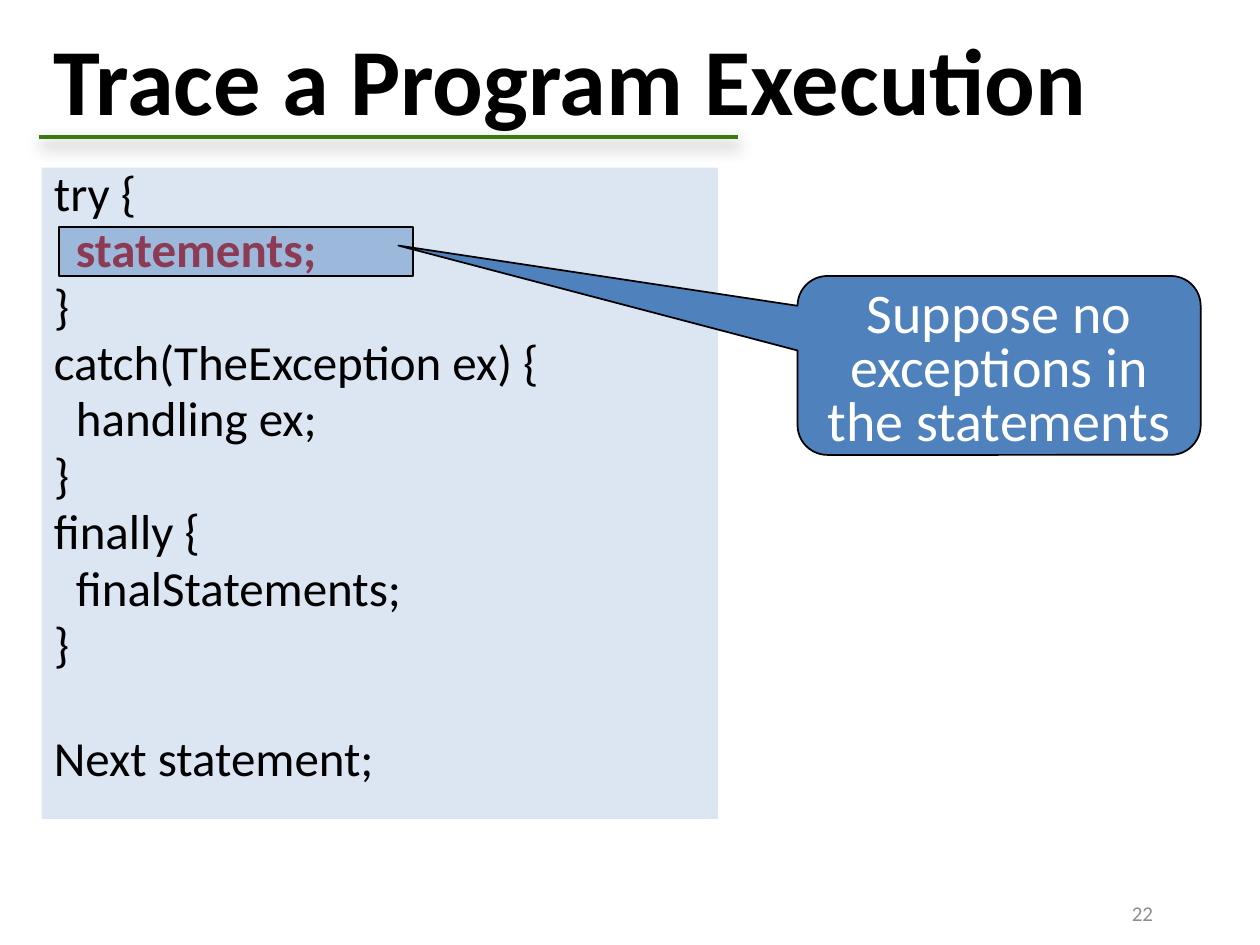
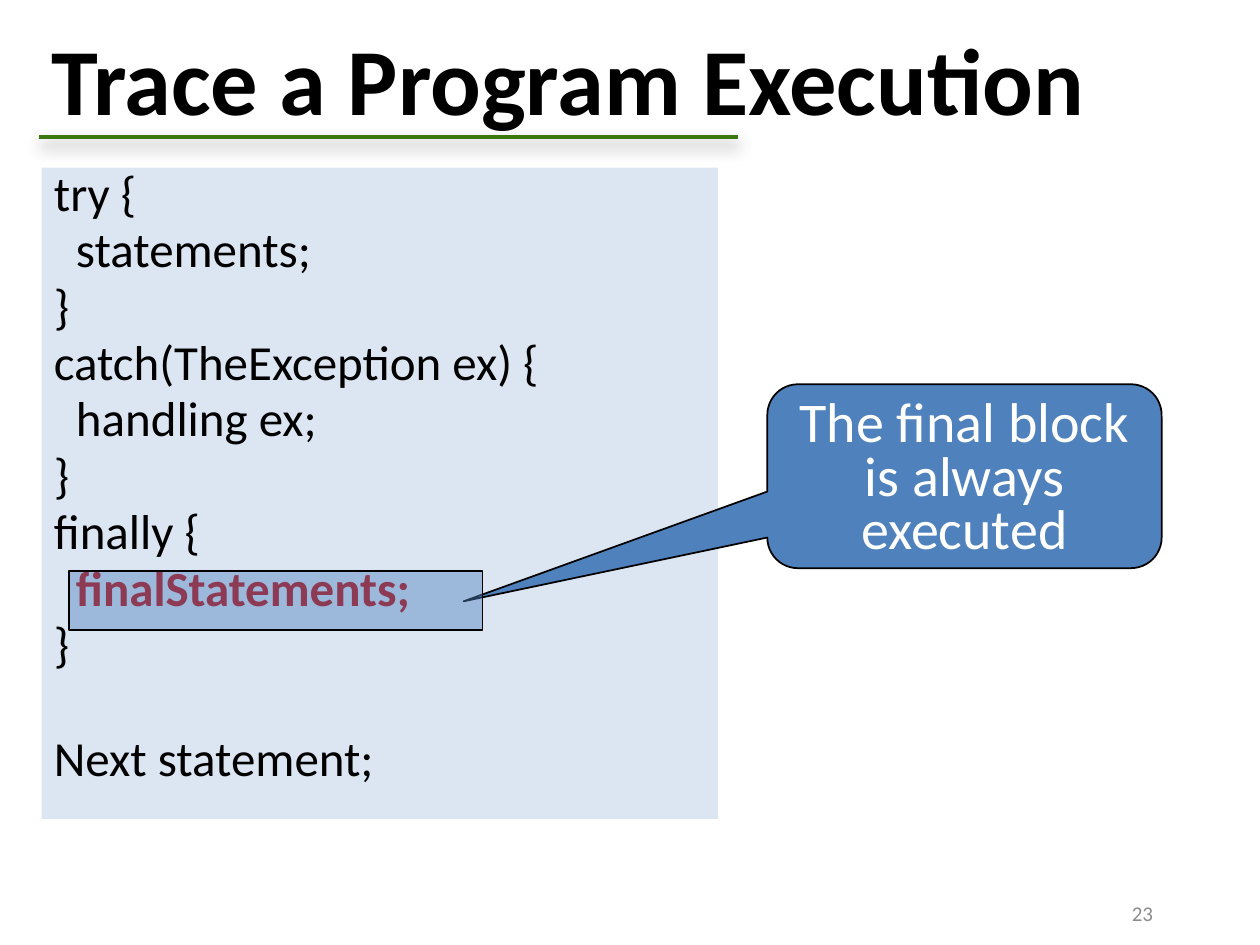
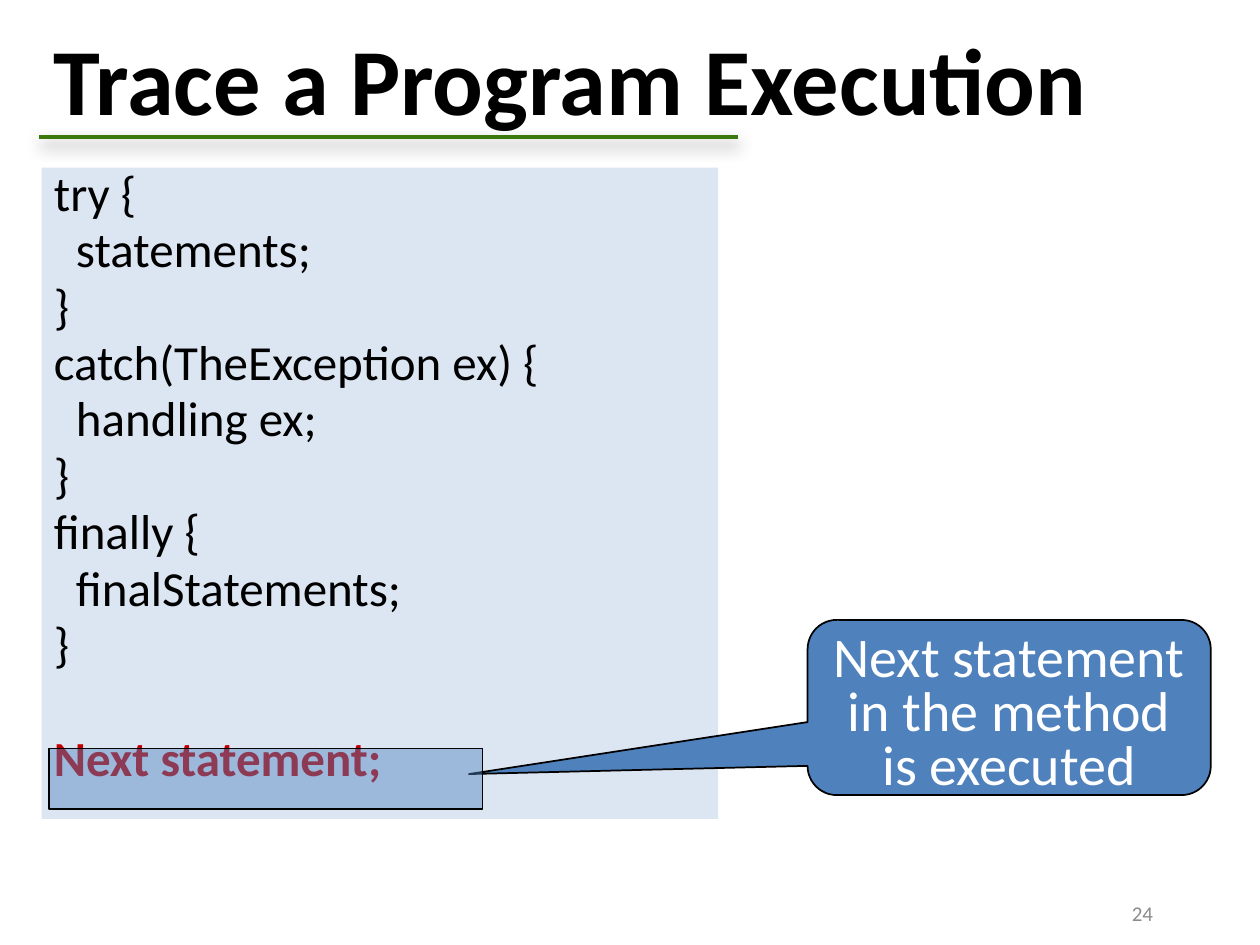
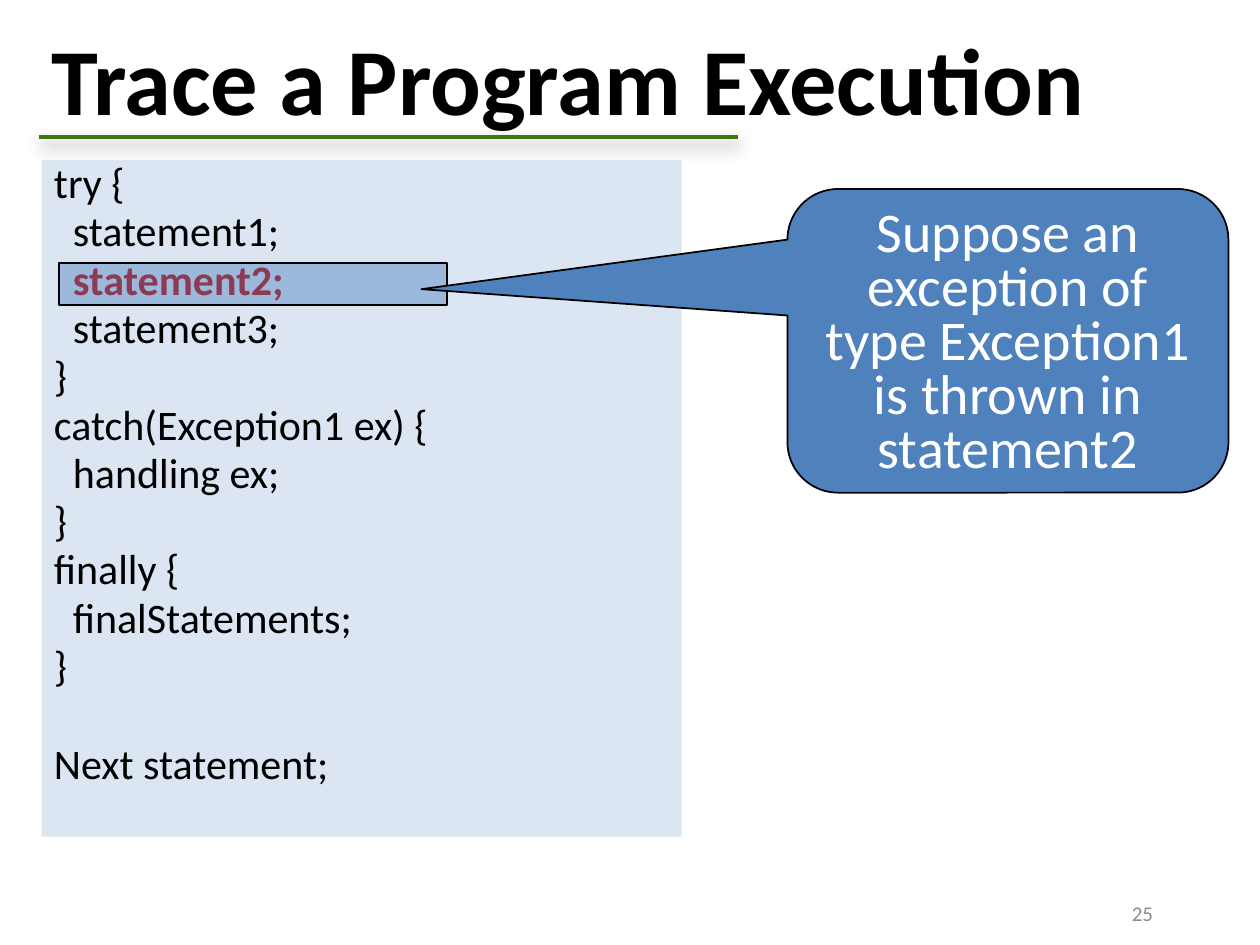
import pptx
import pptx.dml.color
import pptx.enum.shapes
import pptx.enum.text
import pptx.oxml
import pptx.oxml.ns
import pptx.util

Inches = pptx.util.Inches
Pt = pptx.util.Pt
Shapes = pptx.enum.shapes.MSO_SHAPE
Align = pptx.enum.text.PP_ALIGN
Anchor = pptx.enum.text.MSO_ANCHOR

FONT = "Calibri"
BLACK, WHITE, GREY = "000000", "FFFFFF", "8C8C8C"
RULE_GREEN, PANEL_BLUE, ACCENT_BLUE, ACTIVE_RED = "3B780E", "DCE6F2", "4F81BD", "C00000"
TITLE = "Trace a Program Execution"
FIRST_NUMBER = 22
LINE_SPACING = 0.8
SPACE_BEFORE = 0.19
BLANK_LINE = 1.17
CODE_INDENT = 0.45
HIGHLIGHT_OPACITY = 45

CATCH_ANY = """try {
  statements;
}
catch(TheException ex) {
  handling ex;
}
finally {
  finalStatements;
}

Next statement;"""

CATCH_ONE = """try {
  statement1;
  statement2;
  statement3;
}
catch(Exception1 ex) {
  handling ex;
}
finally {
  finalStatements;
}

Next statement;"""

WIDE_PANEL = (0.33, 1.33, 5.37, 5.17)
TALL_PANEL = (0.33, 1.27, 5.08, 5.37)


def rgb(code):
    """Turn a hex string into a colour."""
    return pptx.dml.color.RGBColor.from_string(code)


def place(box):
    """Turn left, top, width and height in inches into lengths."""
    return [Inches(value) for value in box]


def add_run(paragraph, text, size, color, bold=False):
    """Append one formatted run to a paragraph."""
    run = paragraph.add_run()
    run.text = text
    run.font.name = FONT
    run.font.size = Pt(size)
    run.font.bold = bold
    run.font.color.rgb = rgb(color)


def add_label(slide, box, text, size, color, align=Align.LEFT, bold=False):
    """Add a one-line text box centred on its height."""
    frame = slide.shapes.add_textbox(*place(box)).text_frame
    frame.word_wrap = True
    frame.vertical_anchor = Anchor.MIDDLE
    paragraph = frame.paragraphs[0]
    paragraph.alignment = align
    add_run(paragraph, text, size, color, bold)


def add_block(slide, kind, box, fill, outlined=True):
    """Add a flat filled shape whose text starts at the top."""
    block = slide.shapes.add_shape(kind, *place(box))
    block.shadow.inherit = False
    block.fill.solid()
    block.fill.fore_color.rgb = rgb(fill)
    if outlined:
        block.line.color.rgb = rgb(BLACK)
        block.line.width = Pt(1)
    else:
        block.line.fill.background()
    block.text_frame.word_wrap = True
    block.text_frame.vertical_anchor = Anchor.TOP
    return block


def add_title_rule(slide):
    """Draw the green rule with its soft shadow under the title."""
    rule = slide.shapes.add_connector(
        pptx.enum.shapes.MSO_CONNECTOR.STRAIGHT, *place((0.31, 1.09, 5.86, 1.09)))
    rule.line.color.rgb = rgb(RULE_GREEN)
    rule.line.width = Pt(2.5)
    rule._element.spPr.append(pptx.oxml.parse_xml(
        f'<a:effectLst {pptx.oxml.ns.nsdecls("a")}>'
        f'<a:outerShdw blurRad="{Pt(9)}" dist="{Pt(4)}" dir="5400000" rotWithShape="0">'
        f'<a:srgbClr val="{BLACK}"><a:alpha val="43000"/></a:srgbClr>'
        '</a:outerShdw></a:effectLst>'))


def add_code(slide, box, code, size, active):
    """Add the code panel with the active statement in bold red."""
    frame = add_block(slide, Shapes.RECTANGLE, box, PANEL_BLUE, outlined=False).text_frame
    paragraph = frame.paragraphs[0]
    gap = SPACE_BEFORE
    for index, line in enumerate(code.splitlines()):
        if not line:
            gap += BLANK_LINE
            continue
        if index:
            paragraph = frame.add_paragraph()
        statement = line.strip()
        paragraph.alignment = Align.LEFT
        paragraph.line_spacing = LINE_SPACING
        paragraph.space_before = Pt(gap * size)
        if statement != line:
            paragraph._p.get_or_add_pPr().set("marL", str(Pt(CODE_INDENT * size)))
        is_active = statement == active
        add_run(paragraph, statement, size, ACTIVE_RED if is_active else BLACK, is_active)
        gap = SPACE_BEFORE


def add_highlight(slide, box):
    """Lay a translucent frame over the active statement."""
    highlight = add_block(slide, Shapes.RECTANGLE, box, ACCENT_BLUE)
    color = highlight._element.spPr.find(".//" + pptx.oxml.ns.qn("a:srgbClr"))
    color.append(pptx.oxml.parse_xml(
        f'<a:alpha {pptx.oxml.ns.nsdecls("a")} val="{HIGHLIGHT_OPACITY * 1000}"/>'))


def add_callout(slide, box, tip, text):
    """Add a rounded callout whose tip is a share of its size from its centre."""
    callout = add_block(slide, Shapes.ROUNDED_RECTANGULAR_CALLOUT, box, ACCENT_BLUE)
    callout.adjustments[0], callout.adjustments[1] = tip
    paragraph = callout.text_frame.paragraphs[0]
    paragraph.alignment = Align.CENTER
    paragraph.line_spacing = LINE_SPACING
    paragraph.space_before = Pt(SPACE_BEFORE * 32)
    add_run(paragraph, text, 32, WHITE)


def add_step(deck, number, title_left, panel, code, size, active):
    """Add a slide with title, rule, number and code."""
    slide = deck.slides.add_slide(deck.slide_layouts[6])
    add_title_rule(slide)
    add_code(slide, panel, code, size, active)
    add_label(slide, (7.17, 7, 2.08, 0.5), str(number), 12, GREY, Align.RIGHT)
    add_label(slide, (title_left, 0.33, 8.5, 0.58), TITLE, 54, BLACK, bold=True)
    return slide


def main():
    """Build the four trace steps."""
    deck = pptx.Presentation()
    deck.slide_width, deck.slide_height = Inches(10), Inches(7.5)

    no_exception = add_step(deck, FIRST_NUMBER, 0.33, WIDE_PANEL, CATCH_ANY, 28, "statements;")
    add_highlight(no_exception, (0.47, 1.8, 2.81, 0.39))
    add_callout(no_exception, (6.33, 2.19, 3.2, 1.42), (-1.49, -0.67),
                "Suppose no exceptions in the statements")

    final_block = add_step(deck, FIRST_NUMBER + 1, 0.31, WIDE_PANEL, CATCH_ANY, 28,
                           "finalStatements;")
    add_callout(final_block, (6.09, 3.05, 3.13, 1.46), (-1.27, 0.68),
                "The final block is always executed")
    add_highlight(final_block, (0.55, 4.53, 3.28, 0.47))

    next_statement = add_step(deck, FIRST_NUMBER + 2, 0.33, WIDE_PANEL, CATCH_ANY, 28,
                              "Next statement;")
    add_callout(next_statement, (6.41, 4.92, 3.2, 1.39), (-1.34, 0.38),
                "Next statement in the method is executed")
    add_highlight(next_statement, (0.39, 5.94, 3.44, 0.48))

    exception_thrown = add_step(deck, FIRST_NUMBER + 3, 0.31, TALL_PANEL, CATCH_ONE, 24,
                                "statement2;")
    add_highlight(exception_thrown, (0.47, 2.09, 3.08, 0.33))
    add_callout(exception_thrown, (6.25, 1.5, 3.5, 2.41), (-1.33, -0.17),
                "Suppose an exception of type Exception1 is thrown in statement2")

    deck.save("out.pptx")


if __name__ == "__main__":
    main()
